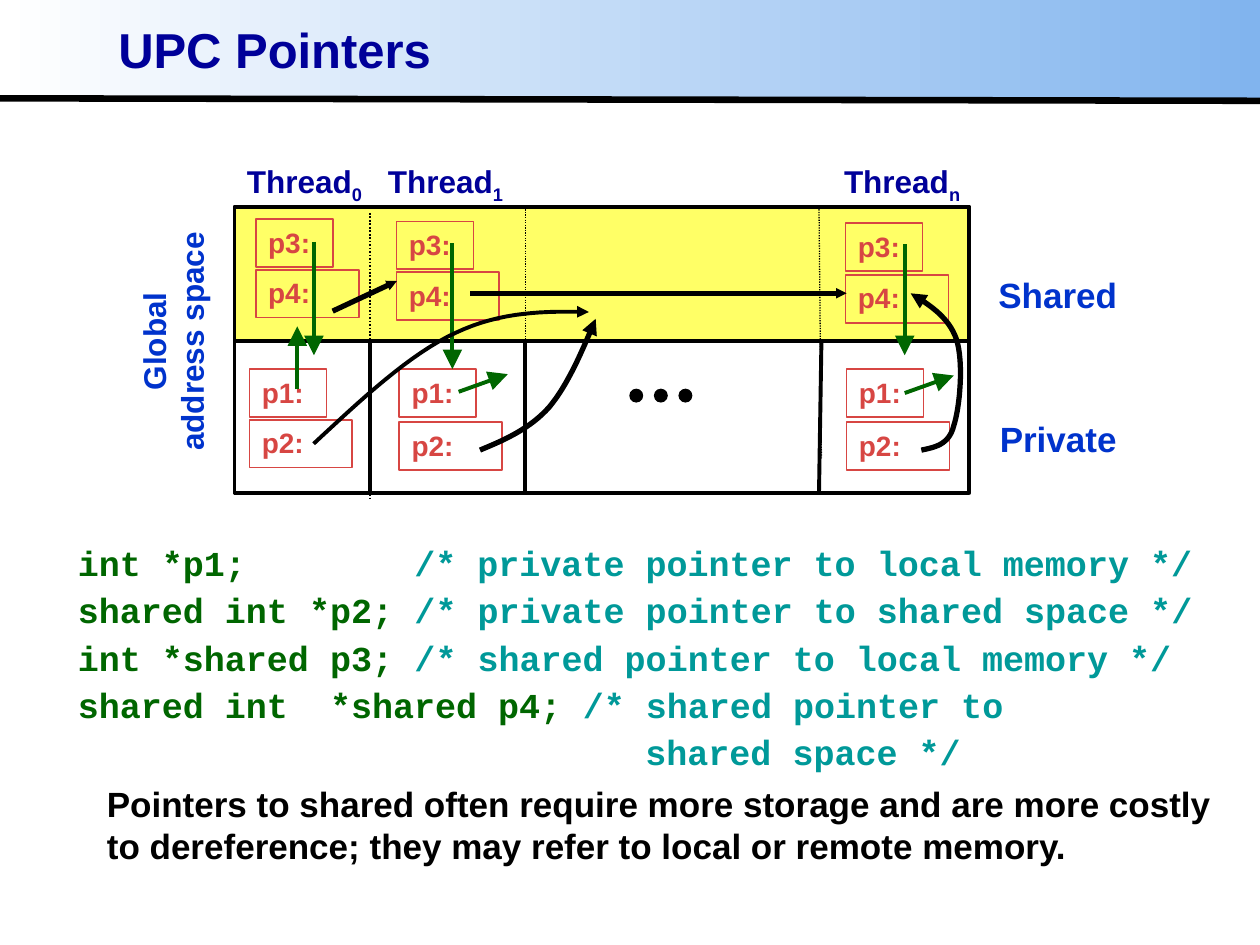
import pptx
import pptx.util
import pptx.dml.color
import pptx.enum.dml
import pptx.enum.shapes
import pptx.enum.text
import pptx.oxml
import pptx.oxml.ns
from lxml import etree

Pt = pptx.util.Pt
rgb = pptx.dml.color.RGBColor.from_string
qn = pptx.oxml.ns.qn
SHAPE = pptx.enum.shapes.MSO_SHAPE
ALIGN = pptx.enum.text.PP_ALIGN
ANCHOR = pptx.enum.text.MSO_ANCHOR

BLACK, NAVY, BLUE = "000000", "000099", "0033CC"
GREEN, TEAL, RED = "006600", "009999", "D74643"


def stroke(sp, color, width, dotted=False, arrow=None):
    """Format an outline, with an arrowhead of size sm, med or lg, and no shadow."""
    sp.line.color.rgb = rgb(color)
    sp.line.width = Pt(width)
    if dotted:
        sp.line.dash_style = pptx.enum.dml.MSO_LINE.ROUND_DOT
    spPr = sp.element.spPr
    if arrow:
        etree.SubElement(spPr.find(qn("a:ln")), qn("a:tailEnd"),
                         type="triangle", w=arrow, len=arrow)
    if spPr.find(qn("a:effectLst")) is None:
        etree.SubElement(spPr, qn("a:effectLst"))


def write(sp, paragraphs, size, font="Arial", align=ALIGN.LEFT, wrap=True,
          anchor=ANCHOR.TOP, space=0):
    """Fill a shape with paragraphs, each a list of (text, colour) runs."""
    tf = sp.text_frame
    tf.word_wrap = wrap
    tf.vertical_anchor = anchor
    for i, runs in enumerate(paragraphs):
        p = tf.add_paragraph() if i else tf.paragraphs[0]
        p.alignment = align
        if i and space:
            p.space_before = Pt(space)
        for text, color in runs:
            r = p.add_run()
            r.text = text
            for name, value in {"name": font, "size": Pt(size), "bold": True}.items():
                setattr(r.font, name, value)
            r.font.color.rgb = rgb(color)


prs = pptx.Presentation()
prs.slide_width, prs.slide_height = Pt(720), Pt(540)
s = prs.slides.add_slide(prs.slide_layouts[5])

# Title on a gradient band
title = s.shapes.title
for name, value in {"left": 62.6, "top": 13.7, "width": 614.9, "height": 33.1}.items():
    setattr(title, name, Pt(value))
write(title, [[("UPC Pointers", NAVY)]], 28)
tf = title.text_frame
tf.margin_left = tf.margin_right = Pt(5)
tf.margin_top = tf.margin_bottom = Pt(2.2)
tf.paragraphs[0].line_spacing = 0.87

band = s.shapes.add_shape(SHAPE.RECTANGLE, 0, 0, Pt(720), Pt(57.6))
band.shadow.inherit = False
band.line.fill.background()
band.fill.gradient()
band.fill.gradient_angle = 180
for stop, (position, color) in zip(band.fill.gradient_stops, [(0, "81B4EE"), (1, "FFFFFF")]):
    stop.position = position
    stop.color.rgb = rgb(color)
title.element.addprevious(band.element)

# Shared and private memory areas
for top, height, fill in [(118.1, 76.6, "FFFF66"), (195.1, 86.4, None)]:
    sp = s.shapes.add_shape(SHAPE.RECTANGLE, Pt(134), Pt(top), Pt(420), Pt(height))
    if fill:
        sp.fill.solid()
        sp.fill.fore_color.rgb = rgb(fill)
    else:
        sp.fill.background()
    stroke(sp, BLACK, 2.25)

# Dots for the threads that are left out
for i in range(3):
    sp = s.shapes.add_shape(SHAPE.OVAL, Pt(360 + 14.05 * i), Pt(222.5), Pt(7.2), Pt(7.2))
    sp.fill.solid()
    sp.fill.fore_color.rgb = rgb(BLACK)
    stroke(sp, BLACK, 0.75)

# Pointer boxes: label, width, and left and top in each thread
pointers = [
    ("p1:", 44, (142.6, 228.2, 483.8), (211, 211, 211)),
    ("p2:", 58.8, (142.6, 228.2, 483.8), (239.8, 241.2, 241.2)),
    ("p3:", 44, (146.2, 226.6, 483.2), (125.3, 126.5, 127.4)),
    ("p4:", 58.8, (146.2, 226.6, 483.2), (154.1, 155.5, 157)),
]
for label, width, lefts, tops in pointers:
    for left, top in zip(lefts, tops):
        sp = s.shapes.add_shape(SHAPE.RECTANGLE, Pt(left), Pt(top), Pt(width), Pt(27.4))
        sp.fill.background()
        stroke(sp, RED, 1)
        write(sp, [[(label, RED)]], 16)

# Straight lines: from x, y to x, y, colour, width, dotted, arrowhead
lines = [
    (0, 56.2, 720, 57.6, BLACK, 3.75, False, None),
    (300.2, 118.1, 300.2, 261.4, BLACK, 0.75, True, None),
    (468, 118.1, 469.4, 261.4, BLACK, 0.75, True, None),
    (211.5, 121.7, 211.5, 285.1, BLACK, 1, True, None),
    (300.2, 194.4, 300.2, 281.5, BLACK, 2.25, False, None),
    (211.5, 195.8, 211.5, 281.5, BLACK, 2.25, False, None),
    (469.4, 195.1, 468, 281.5, BLACK, 2.25, False, None),
    (169.9, 222.5, 169.9, 186.5, GREEN, 2.25, False, "lg"),
    (262.1, 223.9, 290.2, 213.8, GREEN, 2.25, False, "lg"),
    (517, 224.6, 545, 214.6, GREEN, 2.25, False, "lg"),
    (190.1, 177.8, 226.8, 160.6, BLACK, 3, False, "sm"),
    (268.6, 167.6, 483.8, 167.6, BLACK, 3, False, "sm"),
    (179.4, 138.2, 179.4, 203, GREEN, 2.25, False, "lg"),
    (258.5, 139, 258.5, 211, GREEN, 2.25, False, "lg"),
    (517, 139.7, 517, 203, GREEN, 2.25, False, "lg"),
]
for x1, y1, x2, y2, *style in lines:
    sp = s.shapes.add_connector(pptx.enum.shapes.MSO_CONNECTOR.STRAIGHT,
                                Pt(x1), Pt(y1), Pt(x2), Pt(y2))
    stroke(sp, *style)

# Curved p2 arrows: a start, then two controls and an end for each Bezier piece
curves = [
    (2.25, [(179.2, 253.6), (206.6, 228.2), (234, 202.3), (260.6, 190.1),
            (286.6, 177.8), (311.8, 177.8), (336.5, 178.3)]),
    (3, [(274.3, 257.2), (288.7, 251.3), (303.1, 244.8), (313.9, 232.6),
         (324.7, 219.6), (332.6, 200.9), (340.4, 182.2)]),
    (3, [(526.5, 257.2), (534.2, 255.6), (542.2, 254.2), (545, 243.4), (548.6, 232.6),
         (550.8, 206.6), (546.5, 193.7), (542.2, 181.4), (531.4, 174.2), (520.4, 167.6)]),
]
STEPS = 16
for width, pts in curves:
    track = []
    for i in range(0, len(pts) - 1, 3):
        for n in range(1, STEPS + 1):
            t = n / STEPS
            weights = ((1 - t) ** 3, 3 * t * (1 - t) ** 2, 3 * t ** 2 * (1 - t), t ** 3)
            track.append(tuple(Pt(sum(w * pt[k] for w, pt in zip(weights, pts[i:i + 4])))
                               for k in (0, 1)))
    fb = s.shapes.build_freeform(Pt(pts[0][0]), Pt(pts[0][1]))
    fb.add_line_segments(track, close=False)
    sp = fb.convert_to_shape()
    sp.fill.background()
    stroke(sp, BLACK, width, arrow="med")

# Thread headings on tab stops, with subscript numbers
threads = s.shapes.add_textbox(Pt(134), Pt(89.3), Pt(425.5), Pt(28.8))
write(threads, [[("Thread", NAVY), ("0", NAVY), ("\tThread", NAVY), ("1", NAVY),
                 ("\tThread", NAVY), ("n", NAVY)]], 18)
p = threads.text_frame.paragraphs[0]
tabs = etree.SubElement(p._p.get_or_add_pPr(), qn("a:tabLst"))
for position in (80.6, 341.2):
    etree.SubElement(tabs, qn("a:tab"), pos=str(Pt(position)), algn="l")
for r in p.runs[1::2]:
    r._r.get_or_add_rPr().set("baseline", "-25000")

# Area labels
for text, left, top, width in [("Shared", 565.2, 150.5, 78.5), ("Private", 566.6, 232.6, 76.3)]:
    sp = s.shapes.add_textbox(Pt(left), Pt(top), Pt(width), Pt(36))
    sp.text_frame.margin_left = sp.text_frame.margin_right = 0
    write(sp, [[(text, BLUE)]], 20, align=ALIGN.CENTER, wrap=False, anchor=ANCHOR.MIDDLE)
sp = s.shapes.add_textbox(Pt(28.1), Pt(169.9), Pt(141.1), Pt(50.4))
sp.rotation = 270
write(sp, [[("Global address space", BLUE)]], 18, align=ALIGN.CENTER)

# Declarations and the remark below them
code = [
    [("int *p1;", GREEN), ("        /* private pointer to local memory */", TEAL)],
    [("shared int *p2;", GREEN), (" /* private pointer to shared space */", TEAL)],
    [("int *shared p3;", GREEN), (" /* shared pointer to local memory */", TEAL)],
    [("shared int  *shared p4;", GREEN), (" /* shared pointer to", TEAL)],
    [("                           shared space */", TEAL)],
]
sp = s.shapes.add_textbox(Pt(37.4), Pt(306), Pt(673.9), Pt(141.8))
write(sp, code, 20, font="Courier New", space=3)
sp = s.shapes.add_textbox(Pt(54), Pt(443.5), Pt(657.4), Pt(55.4))
write(sp, [[("Pointers to shared often require more storage and are more costly to dereference; "
             "they may refer to local or remote memory.", BLACK)]], 20)

prs.save("out.pptx")
